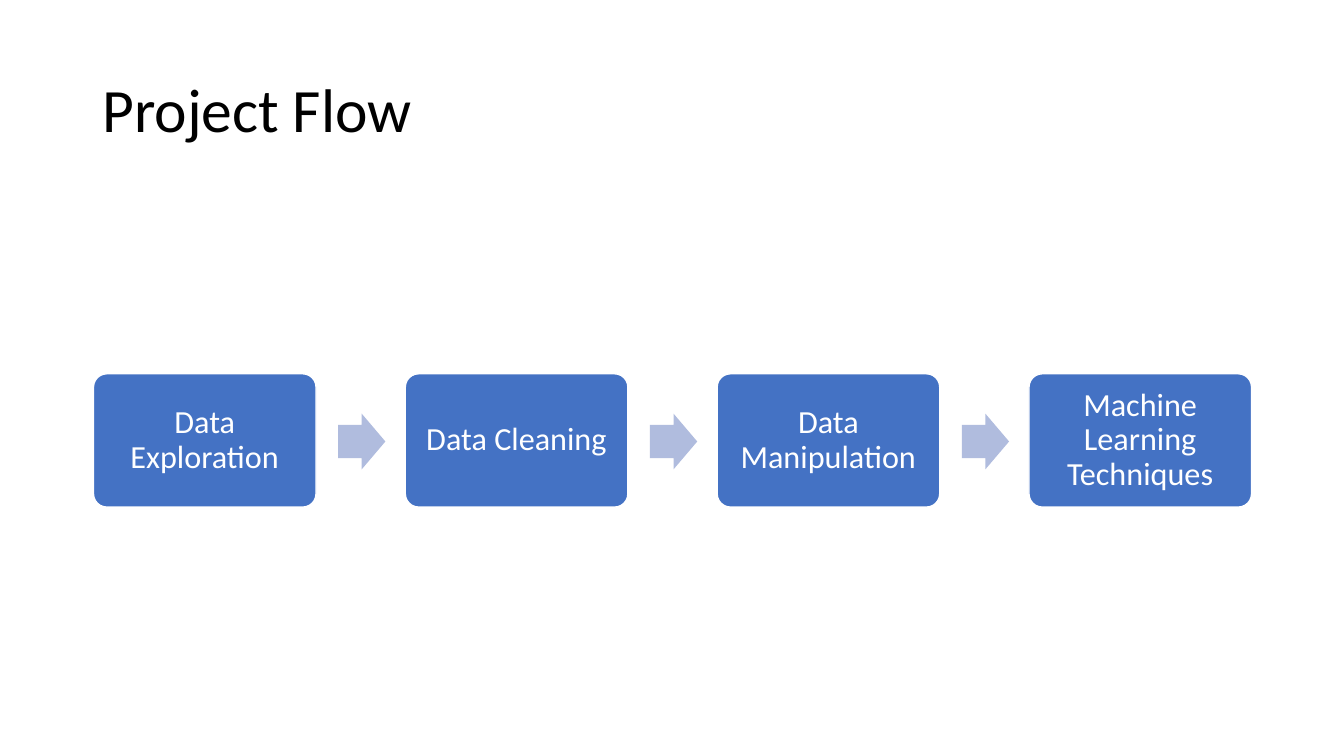
from dataclasses import dataclass

import pptx
import pptx.dml.color
import pptx.enum.shapes
import pptx.enum.text
import pptx.util


@dataclass(frozen=True)
class Theme:
    font: str = "Calibri"
    title_size: int = 44
    step_size: int = 23
    black: str = "000000"
    white: str = "FFFFFF"
    step_fill: str = "4472C4"
    arrow_fill: str = "B0BCDE"


class SlideBuilder:
    EMU_PER_PX = 9525

    def __init__(self, slide, theme):
        self.slide = slide
        self.theme = theme

    def px(self, length):
        return pptx.util.Emu(length * self.EMU_PER_PX)

    def color(self, value):
        return pptx.dml.color.RGBColor.from_string(value)

    def add_text(self, shape, text, size, color, alignment):
        frame = shape.text_frame
        frame.word_wrap = True
        frame.vertical_anchor = pptx.enum.text.MSO_ANCHOR.MIDDLE
        paragraph = frame.paragraphs[0]
        paragraph.alignment = alignment
        paragraph.line_spacing = 0.9
        run = paragraph.add_run()
        run.text = text
        run.font.name = self.theme.font
        run.font.size = pptx.util.Pt(size)
        run.font.color.rgb = self.color(color)

    def preset(self, kind, box, fill, adjustments):
        shape = self.slide.shapes.add_shape(kind, *map(self.px, box))
        shape.shadow.inherit = False
        shape.fill.solid()
        shape.fill.fore_color.rgb = self.color(fill)
        shape.line.fill.background()
        for index, value in enumerate(adjustments):
            shape.adjustments[index] = value
        return shape

    def title(self, text, box):
        shape = self.slide.shapes.add_textbox(*map(self.px, box))
        self.add_text(shape, text, self.theme.title_size, self.theme.black,
                      pptx.enum.text.PP_ALIGN.LEFT)

    def step(self, text, box):
        shape = self.preset(pptx.enum.shapes.MSO_SHAPE.ROUNDED_RECTANGLE, box,
                            self.theme.step_fill, [0.1])
        shape.line.color.rgb = self.color(self.theme.white)
        shape.line.width = pptx.util.Pt(1)
        frame = shape.text_frame
        frame.margin_left = frame.margin_right = self.px(10)
        frame.margin_top = frame.margin_bottom = self.px(10)
        self.add_text(shape, text, self.theme.step_size, self.theme.white,
                      pptx.enum.text.PP_ALIGN.CENTER)

    def arrow(self, box):
        self.preset(pptx.enum.shapes.MSO_SHAPE.RIGHT_ARROW, box,
                    self.theme.arrow_fill, [0.6, 0.5])


def main():
    presentation = pptx.Presentation()
    presentation.slide_width = pptx.util.Emu(1280 * SlideBuilder.EMU_PER_PX)
    presentation.slide_height = pptx.util.Emu(720 * SlideBuilder.EMU_PER_PX)
    slide = presentation.slides.add_slide(presentation.slide_layouts[6])
    builder = SlideBuilder(slide, Theme())

    builder.title("Project Flow", (88, 38, 1104, 139))

    steps = ["Data Exploration", "Data Cleaning", "Data Manipulation",
             "Machine Learning Techniques"]
    left, pitch = 89, 297
    for index, text in enumerate(steps):
        step_left = left + index * pitch
        if index:
            builder.arrow((step_left - 64, 394, 45, 53))
        builder.step(text, (step_left, 356, 212, 127))

    presentation.save("out.pptx")


if __name__ == "__main__":
    main()
